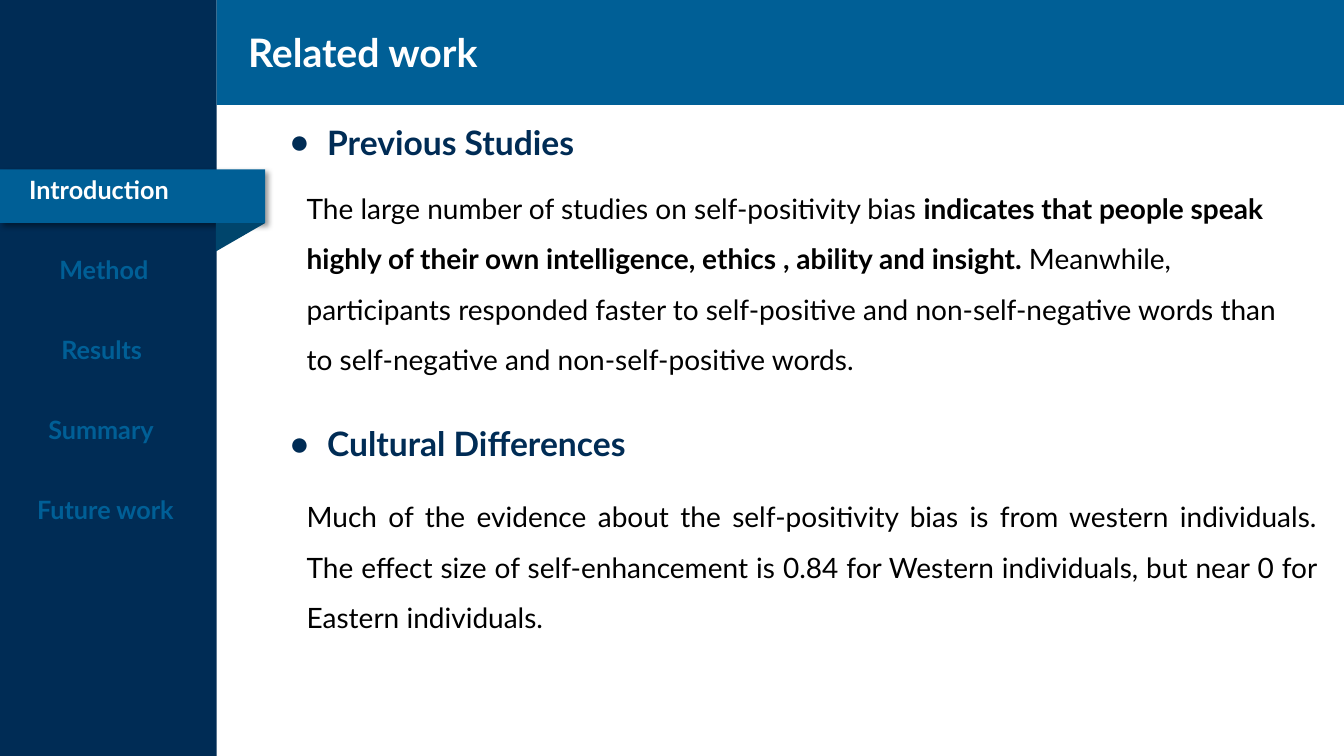
"""Builds the "Related work" slide with its section navigation."""
from lxml.etree import SubElement
from pptx import Presentation
from pptx.dml.color import RGBColor
from pptx.enum.shapes import MSO_SHAPE as SHAPE
from pptx.enum.text import MSO_ANCHOR as ANCHOR, MSO_AUTO_SIZE as AUTO, PP_ALIGN as ALIGN
from pptx.oxml.ns import qn
from pptx.util import Pt

NAVY = RGBColor(0x00, 0x2C, 0x55)
BLUE = RGBColor(0x00, 0x5F, 0x96)
FOLD = RGBColor(0x00, 0x45, 0x6C)
WHITE = RGBColor(0xFF, 0xFF, 0xFF)
BLACK = RGBColor(0x00, 0x00, 0x00)

WIDTH, HEIGHT = 960, 540
SIDEBAR_W = 154.8
NAV_TOP, NAV_STEP = 121, 57.2
SECTIONS = [("Introduction", 13.7), ("Method", 35.3), ("Results", 36.7),
            ("Summary", 27.4), ("Future work", 19.4)]

STUDIES = [
    ("The large number of studies on self-positivity bias ", False),
    ("indicates that people speak highly of their own intelligence, ethics , "
     "ability and insight. ", True),
    ("Meanwhile, participants responded faster to self-positive and "
     "non-self-negative words than to self-negative and non-self-positive words.", False),
]
CULTURE = [
    ("Much of the evidence about the self-positivity bias is from western individuals. "
     "The effect size of self-enhancement is 0.84 for Western individuals, but near 0 "
     "for Eastern individuals.", False),
]


class Deck:
    """Holds the style and the current slide."""

    font = "Lato"

    def __init__(self, prs, layout):
        self.slide = prs.slides.add_slide(prs.slide_layouts[layout])

    def shape(self, kind, x, y, w, h, color, rotation=0):
        """Add a plain filled shape."""
        sp = self.slide.shapes.add_shape(kind, Pt(x), Pt(y), Pt(w), Pt(h))
        sp.shadow.inherit = False
        sp.fill.solid()
        sp.fill.fore_color.rgb = color
        sp.line.fill.background()
        sp.rotation = rotation
        return sp

    def cast_shadow(self, sp):
        """Give a shape a soft shadow to the lower right."""
        effects = sp._element.spPr.find(qn("a:effectLst"))
        shadow = SubElement(effects, qn("a:outerShdw"), blurRad=str(Pt(4)),
                            dist=str(Pt(3)), dir="2700000", algn="tl", rotWithShape="0")
        color = SubElement(shadow, qn("a:srgbClr"), val="000000")
        SubElement(color, qn("a:alpha"), val="40000")

    def text(self, sp, runs, size, color, wrap=False, bullet=False,
             align=ALIGN.LEFT, spacing=1.0):
        """Fill a shape with one paragraph of (words, bold) runs."""
        tf = sp.text_frame
        tf.word_wrap = wrap
        tf.auto_size = AUTO.NONE
        tf.vertical_anchor = ANCHOR.TOP
        p = tf.paragraphs[0]
        pPr = p._p.get_or_add_pPr()
        indent = Pt(27) if bullet else 0
        pPr.set("marL", str(indent))
        pPr.set("indent", str(-indent))
        if bullet:
            SubElement(pPr, qn("a:buFont"), typeface="Arial")
            SubElement(pPr, qn("a:buChar"), char="●")
        else:
            SubElement(pPr, qn("a:buNone"))
        p.alignment = align
        p.line_spacing = spacing
        p.space_before = Pt(0)
        for words, bold in runs:
            r = p.add_run()
            r.text = words
            r.font.name = self.font
            r.font.size = Pt(size)
            r.font.bold = bold
            r.font.color.rgb = color

    def label(self, words, x, y, w, h, size, color):
        """Add a bold one-line text box."""
        sp = self.slide.shapes.add_textbox(Pt(x), Pt(y), Pt(w), Pt(h))
        self.text(sp, [(words, True)], size, color)

    def placeholder(self, idx, x, y, w, h, runs, size, color, **style):
        """Move a template placeholder to the front and fill it."""
        sp = self.slide.placeholders[idx]
        sp.left, sp.top, sp.width, sp.height = Pt(x), Pt(y), Pt(w), Pt(h)
        self.slide.shapes._spTree.append(sp._element)
        self.text(sp, runs, size, color, **style)


def main():
    prs = Presentation()
    prs.slide_width, prs.slide_height = Pt(WIDTH), Pt(HEIGHT)
    deck = Deck(prs, 4)

    deck.shape(SHAPE.RECTANGLE, 0, 0, SIDEBAR_W, HEIGHT, NAVY)
    ribbon = deck.shape(SHAPE.RECTANGLE, 0, NAV_TOP, 189.4, 38.2, BLUE)
    deck.cast_shadow(ribbon)
    deck.shape(SHAPE.RIGHT_TRIANGLE, 161.6, 152, 20.2, 35, FOLD, rotation=90)
    deck.shape(SHAPE.RECTANGLE, SIDEBAR_W, 0, WIDTH - SIDEBAR_W, 75, BLUE)

    for i, (name, x) in enumerate(SECTIONS):
        deck.label(name, x, NAV_TOP + i * NAV_STEP, 130, 29, 18, BLUE if i else WHITE)

    deck.placeholder(0, 170, 16.6, 200, 41, [("Related work", True)], 28, WHITE)
    deck.placeholder(1, 199.5, 83.5, 285, 36, [("Previous Studies", True)], 24, NAVY,
                     bullet=True)
    deck.placeholder(2, 211.8, 121, 714, 153, STUDIES, 20, BLACK, wrap=True, spacing=1.5)
    deck.placeholder(3, 199.5, 298.8, 285, 36, [("Cultural Differences", True)], 24, NAVY,
                     bullet=True)
    deck.placeholder(4, 211.8, 341.3, 736.5, 116, CULTURE, 20, BLACK, wrap=True,
                     align=ALIGN.JUSTIFY, spacing=1.5)
    prs.save("out.pptx")


if __name__ == "__main__":
    main()
